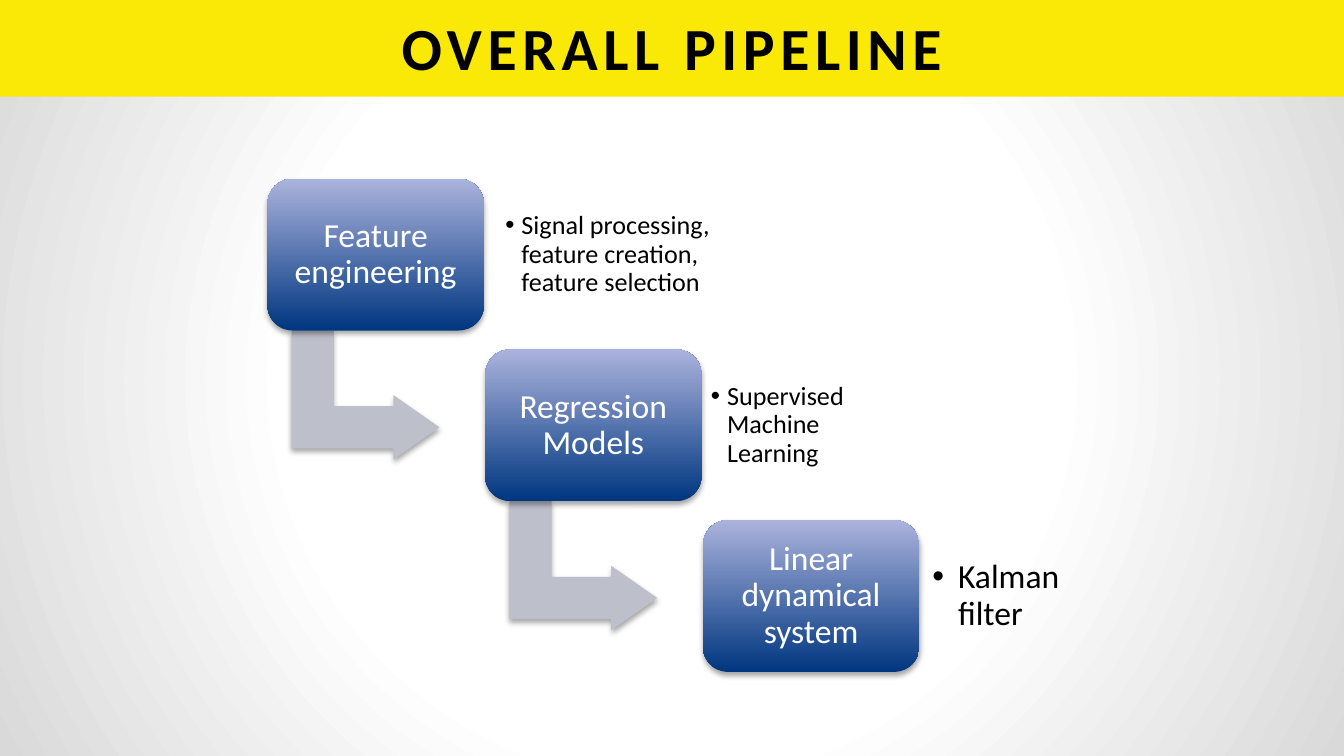
from pptx import Presentation
from pptx.dml.color import RGBColor
from pptx.enum.shapes import MSO_SHAPE
from pptx.enum.text import MSO_ANCHOR, MSO_AUTO_SIZE, PP_ALIGN
from pptx.oxml import parse_xml
from pptx.oxml.ns import nsdecls, qn
from pptx.util import Inches, Pt

RECTANGLE = MSO_SHAPE.RECTANGLE
ROUNDED = MSO_SHAPE.ROUNDED_RECTANGLE
BENT_ARROW = MSO_SHAPE.BENT_UP_ARROW
CENTER, LEFT = PP_ALIGN.CENTER, PP_ALIGN.LEFT
MIDDLE = MSO_ANCHOR.MIDDLE
NO_AUTO_SIZE = MSO_AUTO_SIZE.NONE

BLACK = RGBColor(0x00, 0x00, 0x00)
WHITE = RGBColor(0xFF, 0xFF, 0xFF)
YELLOW = RGBColor(0xFA, 0xE8, 0x07)
NAVY = RGBColor(0x00, 0x36, 0x80)
LAVENDER = RGBColor(0xAB, 0xB3, 0xDC)
ARROW_GREY = RGBColor(0xBD, 0xBF, 0xCB)
EDGE_GREY = RGBColor(0xD9, 0xD9, 0xD9)

FONT = "Calibri"
BOX_LEFT, BOX_TOP, BOX_WIDTH, BOX_HEIGHT = 1.99, 1.33, 1.61, 1.13
STEP_X, STEP_Y = 1.62, 1.27

# Box label, note, and the note's left, width, inset, indent and size
STAGES = [
    ("Feature engineering", "Signal processing,\vfeature creation,\vfeature selection",
     3.69, 2.34, 0.07, 0.12, 14),
    ("Regression\vModels", "Supervised Machine Learning", 5.22, 1.17, 0.07, 0.12, 14),
    ("Linear dynamical system", "Kalman filter", 6.84, 1.17, 0.1, 0.19, 18),
]


def set_background(slide):
    """Fill the slide with a radial gradient, white out to half way."""
    slide.background.fill.solid()
    properties = slide.element.find(".//" + qn("p:bgPr"))
    gradient = parse_xml(
        f'<a:gradFill {nsdecls("a")} rotWithShape="1"><a:gsLst>'
        f'<a:gs pos="50000"><a:srgbClr val="{WHITE}"/></a:gs>'
        f'<a:gs pos="100000"><a:srgbClr val="{EDGE_GREY}"/></a:gs></a:gsLst>'
        '<a:path path="circle"><a:fillToRect l="50000" t="50000" r="50000" b="50000"/>'
        '</a:path></a:gradFill>')
    properties.replace(properties[0], gradient)


def add_plain_shape(slide, kind, left, top, width, height):
    shape = slide.shapes.add_shape(
        kind, Inches(left), Inches(top), Inches(width), Inches(height))
    shape.shadow.inherit = False
    shape.line.fill.background()
    return shape


def add_soft_shadow(shape):
    effects = shape.element.spPr.find(qn("a:effectLst"))
    effects.append(parse_xml(
        f'<a:outerShdw {nsdecls("a")} blurRad="{Pt(3.1)}" dist="{Pt(1.8)}" dir="5400000" '
        'rotWithShape="0"><a:srgbClr val="000000"><a:alpha val="35000"/></a:srgbClr>'
        '</a:outerShdw>'))


def add_bullet(paragraph, indent):
    properties = paragraph._p.get_or_add_pPr()
    properties.set("marL", str(Inches(indent)))
    properties.set("indent", str(-Inches(indent)))
    for element in ('buFont {} typeface="Arial"', 'buChar {} char="•"'):
        properties.append(parse_xml(f'<a:{element.format(nsdecls("a"))}/>'))


def write_text(shape, text, size, color, alignment, inset,
               indent=0, line_spacing=0.9, bold=False):
    """Write one paragraph; a positive indent makes it a bullet."""
    frame = shape.text_frame
    margins = dict.fromkeys(
        ("margin_left", "margin_top", "margin_right", "margin_bottom"), Inches(inset))
    frame_format = {"word_wrap": True, "auto_size": NO_AUTO_SIZE,
                    "vertical_anchor": MIDDLE, **margins}
    for name, value in frame_format.items():
        setattr(frame, name, value)
    frame.text = text
    paragraph = frame.paragraphs[0]
    paragraph.alignment = alignment
    paragraph.line_spacing = line_spacing
    if indent:
        add_bullet(paragraph, indent)
    for run in paragraph.runs:
        for name, value in {"name": FONT, "size": Pt(size), "bold": bold}.items():
            setattr(run.font, name, value)
        run.font.color.rgb = color


def add_title(slide, text):
    title = slide.shapes.title
    bar = add_plain_shape(slide, RECTANGLE, 0, 0, 10, 0.72)
    bar.fill.solid()
    bar.fill.fore_color.rgb = YELLOW
    title.element.addprevious(bar.element)
    frame = {"left": 0.5, "top": -0.01, "width": 9, "height": 0.72}
    for name, value in frame.items():
        setattr(title, name, Inches(value))
    write_text(title, text, 32, BLACK, CENTER, 0.05, line_spacing=1.0, bold=True)
    run = title.text_frame.paragraphs[0].runs[0]
    run._r.get_or_add_rPr().set("spc", "300")


def add_arrow(slide, left, top):
    arrow = add_plain_shape(slide, BENT_ARROW, left, top, 0.96, 1.1)
    arrow.rotation = 90
    for index, value in enumerate((0.328, 0.25, 0.358)):
        arrow.adjustments[index] = value
    arrow.fill.solid()
    arrow.fill.fore_color.rgb = ARROW_GREY
    add_soft_shadow(arrow)


def add_stage_box(slide, left, top, label):
    box = add_plain_shape(slide, ROUNDED, left, top, BOX_WIDTH, BOX_HEIGHT)
    box.fill.gradient()
    box.fill.gradient_angle = 90
    for stop, color in zip(box.fill.gradient_stops, (NAVY, LAVENDER)):
        stop.color.rgb = color
    add_soft_shadow(box)
    write_text(box, label, 18, WHITE, CENTER, 0.07)


def add_note(slide, left, top, width, text, inset, indent, size):
    note = slide.shapes.add_textbox(
        Inches(left), Inches(top), Inches(width), Inches(0.91))
    write_text(note, text, size, BLACK, LEFT, inset, indent)


def main():
    presentation = Presentation()
    presentation.slide_width = Inches(10)
    presentation.slide_height = Inches(10) * 9 // 16
    slide = presentation.slides.add_slide(presentation.slide_layouts[5])
    set_background(slide)
    add_title(slide, "OVERALL PIPELINE")
    for index, stage in enumerate(STAGES):
        label, text, note_left, note_width, inset, indent, size = stage
        left = BOX_LEFT + index * STEP_X
        top = BOX_TOP + index * STEP_Y
        if index < len(STAGES) - 1:
            add_arrow(slide, left + 0.25, top + 1.06)
        add_stage_box(slide, left, top, label)
        add_note(slide, note_left, top + 0.11, note_width, text, inset, indent, size)
    presentation.save("out.pptx")


if __name__ == "__main__":
    main()
